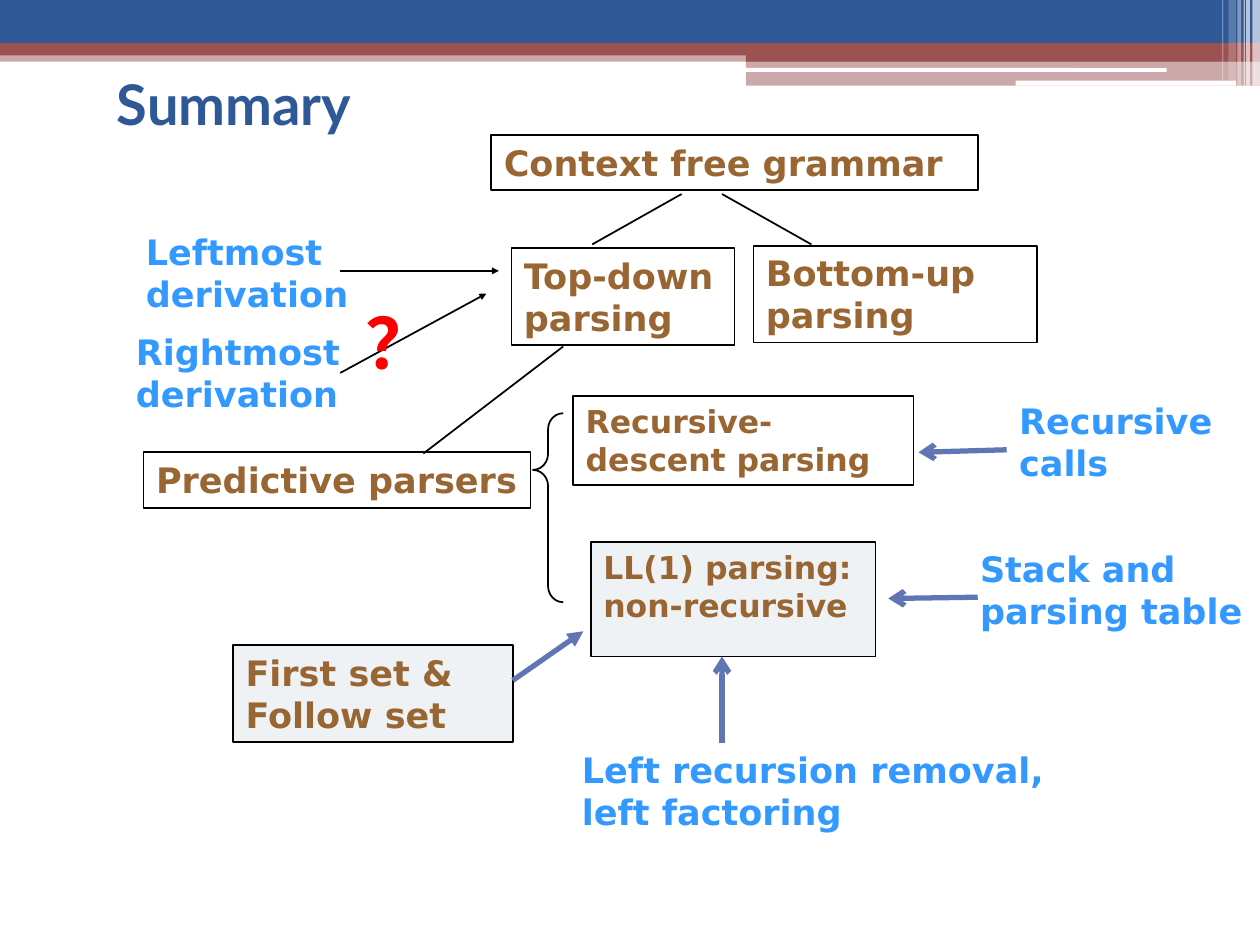
from lxml import etree
from pptx import Presentation
from pptx.dml.color import RGBColor
from pptx.enum.shapes import MSO_CONNECTOR as Link, MSO_SHAPE as Form
from pptx.enum.text import MSO_ANCHOR as Anchor, PP_ALIGN as Align
from pptx.oxml.ns import qn
from pptx.util import Inches, Pt

BLUE, RED, WHITE, BLACK = "2F5897", "9C5252", "FFFFFF", "000000"
BROWN, SKY, STEEL, PALE = "996633", "3399FF", "6076B4", "EFF2F5"
FONT = "DejaVu Sans"


def paint(color, value):
    """Set a colour format from a hex string."""
    color.rgb = RGBColor.from_string(value)


def add_form(slide, form, box, fill=None, line=None, alpha=100):
    """Add a preset shape with an optional fill, outline and opacity."""
    shape = slide.shapes.add_shape(form, *map(Inches, box))
    shape.shadow.inherit = False
    if fill:
        shape.fill.solid()
        paint(shape.fill.fore_color, fill)
        if alpha < 100:
            node = shape.fill._xPr.find(f".//{qn('a:srgbClr')}")
            etree.SubElement(node, qn("a:alpha")).set("val", str(alpha * 1000))
    else:
        shape.fill.background()
    if line:
        paint(shape.line.color, line)
        shape.line.width = Pt(1)
    else:
        shape.line.fill.background()
    return shape


def write(shape, lines, color, size=20, font=FONT, anchor=Anchor.TOP):
    """Fill a shape with bold left-aligned lines."""
    frame = shape.text_frame
    frame.word_wrap = True
    frame.margin_right = Inches(0.05)
    frame.vertical_anchor = anchor
    frame.text = lines
    for para in frame.paragraphs:
        para.alignment = Align.LEFT
        para.font.name = font
        para.font.size = Pt(size)
        para.font.bold = True
        paint(para.font.color, color)


def add_node(slide, text, box, size=20, fill=None):
    """Add an outlined box with brown text."""
    write(add_form(slide, Form.RECTANGLE, box, fill, BLACK), text, BROWN, size)


def add_note(slide, text, box, color=SKY, size=20, **style):
    """Add a free text label."""
    write(slide.shapes.add_textbox(*map(Inches, box)), text, color, size, **style)


def add_link(slide, ends, color=BLACK, width=1, tip=None, span="med"):
    """Add a straight line with an optional arrowhead at its end."""
    link = slide.shapes.add_connector(Link.STRAIGHT, *map(Inches, ends))
    paint(link.line.color, color)
    link.line.width = Pt(width)
    if tip:
        tail = etree.SubElement(link.line._get_or_add_ln(), qn("a:tailEnd"))
        for key, value in (("type", tip), ("w", span), ("len", span)):
            tail.set(key, value)
    etree.SubElement(link._element.spPr, qn("a:effectLst"))


def draw_banner(slide, x, y, w):
    """Draw the striped band along the top edge."""
    half = x + 5.92
    for left, top, wide, high, color, alpha in (
        (x, 0.4, w, 0.09, RED, 50),
        (x, 0, w, 0.34, BLUE, 100),
        (x, 0.34, w, 0.1, RED, 100),
        (half, 0.39, w - 5.92, 0.1, RED, 100),
        (half, 0.48, w - 5.92, 0.2, RED, 50),
    ):
        add_form(slide, Form.RECTANGLE, (left, y + top, wide, high), color, alpha=alpha)
    for left, top, wide, high in ((5.91, 0.54, 3.35, 0.03), (8.06, 0.64, 1.75, 0.04)):
        add_form(slide, Form.ROUNDED_RECTANGLE, (x + left, y + top, wide, high), WHITE)
    for left, wide, high, alpha in (
        (9.94, 0.06, 0.68, 65),
        (9.89, 0.03, 0.68, 65),
        (9.87, 0.01, 0.68, 60),
        (9.82, 0.03, 0.68, 40),
        (9.75, 0.06, 0.64, 20),
        (9.7, 0.01, 0.64, 30),
    ):
        add_form(slide, Form.RECTANGLE, (x + left, y, wide, high), WHITE, alpha=alpha)


def draw_tree(slide, x, y):
    """Draw the parsing methods and the lines that join them."""
    for text, left, top, wide, high, size, fill in (
        ("Context free grammar", 2.76, 0, 3.86, 0.44, 20, None),
        ("Top-down parsing", 2.92, 0.9, 1.77, 0.77, 20, None),
        ("Bottom-up parsing", 4.84, 0.88, 2.25, 0.77, 20, None),
        ("Predictive parsers", 0, 2.52, 3.07, 0.44, 20, None),
        ("First set & Follow set", 0.71, 4.05, 2.22, 0.77, 20, PALE),
        ("Recursive-descent parsing", 3.41, 2.07, 2.7, 0.71, 18, None),
        ("LL(1) parsing:\nnon-recursive", 3.55, 3.23, 2.26, 0.91, 18, PALE),
    ):
        add_node(slide, text, (x + left, y + top, wide, high), size, fill)
    for x1, y1, x2, y2 in (
        (4.27, 0.47, 3.56, 0.87),
        (4.59, 0.47, 5.3, 0.87),
        (3.33, 1.68, 2.22, 2.53),
    ):
        add_link(slide, (x + x1, y + y1, x + x2, y + y2))
    add_link(slide, (x + 2.93, y + 4.33, x + 3.49, y + 3.94), STEEL, 3, "triangle")
    brace = add_form(slide, Form.LEFT_BRACE, (x + 3.09, y + 2.21, 0.24, 1.5), line=BLACK)
    brace.adjustments[0], brace.adjustments[1] = 0.53, 0.3


def draw_order(slide, x, y):
    """Draw the two derivation orders and their arrows."""
    for ends in ((1.72, 0.37, 2.98, 0.37), (1.72, 1.18, 2.88, 0.55)):
        x1, y1, x2, y2 = ends
        add_link(slide, (x + x1, y + y1, x + x2, y + y2), tip="triangle", span="sm")
    add_note(slide, "Leftmost derivation", (x + 0.08, y, 2.03, 0.77))
    add_note(slide, "Rightmost derivation", (x, y + 0.79, 2.03, 0.77))
    add_note(slide, "？", (x + 1.82, y + 0.55, 0.97, 0.77), "FF0000", 40)


def draw_hints(slide, x, y):
    """Draw the implementation notes and their arrows."""
    for text, left, top, wide, ends in (
        ("Recursive calls", 3.47, 0, 1.8, (3.47, 0.45, 2.77, 0.47)),
        ("Stack and parsing table", 3.16, 1.18, 2.36, (3.24, 1.62, 2.53, 1.63)),
        ("Left recursion removal, left factoring", 0, 2.77, 4.11, (1.21, 2.78, 1.21, 2.09)),
    ):
        add_note(slide, text, (x + left, y + top, wide, 0.77))
        x1, y1, x2, y2 = ends
        add_link(slide, (x + x1, y + y1, x + x2, y + y2), STEEL, 3, "arrow")


def main():
    """Build and save the slide."""
    deck = Presentation()
    deck.slide_width, deck.slide_height = Inches(10), Inches(7.5)
    slide = deck.slides.add_slide(deck.slide_layouts[6])
    draw_banner(slide, 0, 0, 10)
    add_note(slide, "Summary", (0.83, 0.44, 2.6, 0.75), BLUE, 32, font="Lato", anchor=Anchor.MIDDLE)
    draw_tree(slide, 1.14, 1.07)
    draw_order(slide, 0.98, 1.78)
    draw_hints(slide, 4.52, 3.12)
    deck.save("out.pptx")


if __name__ == "__main__":
    main()
